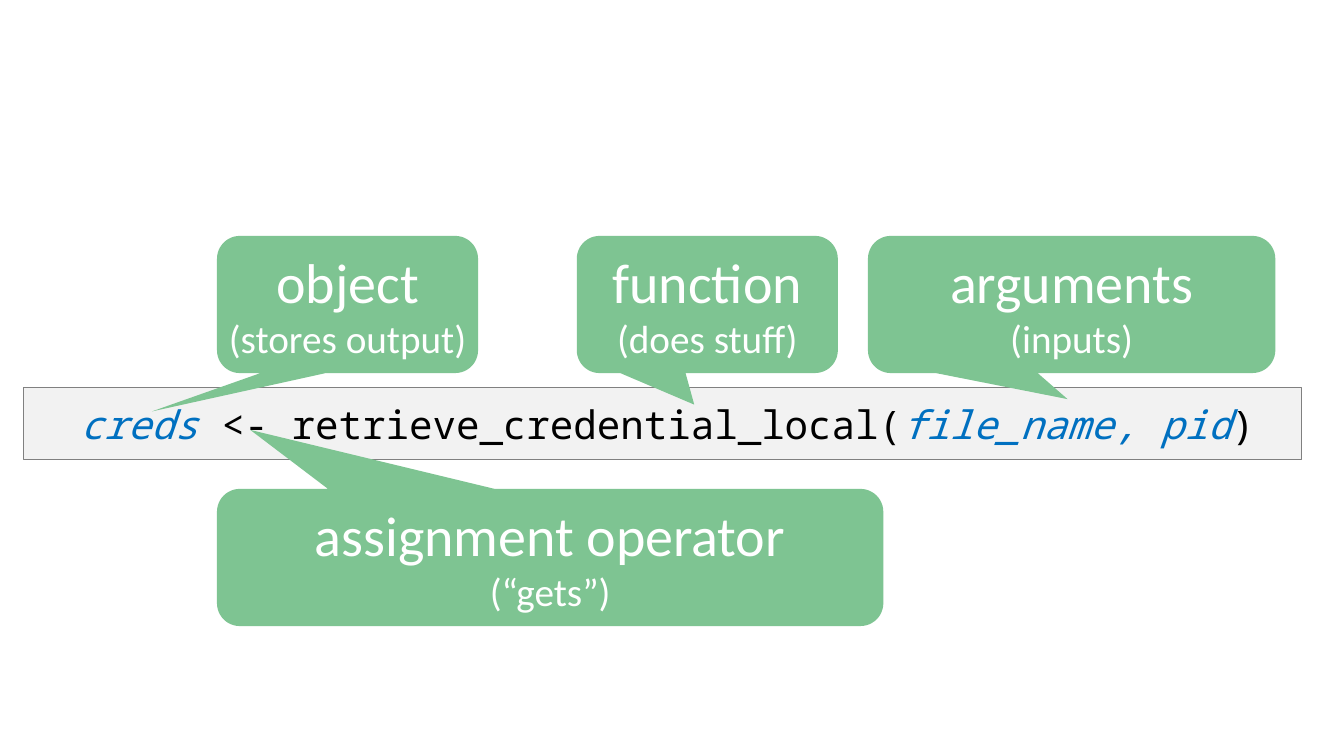
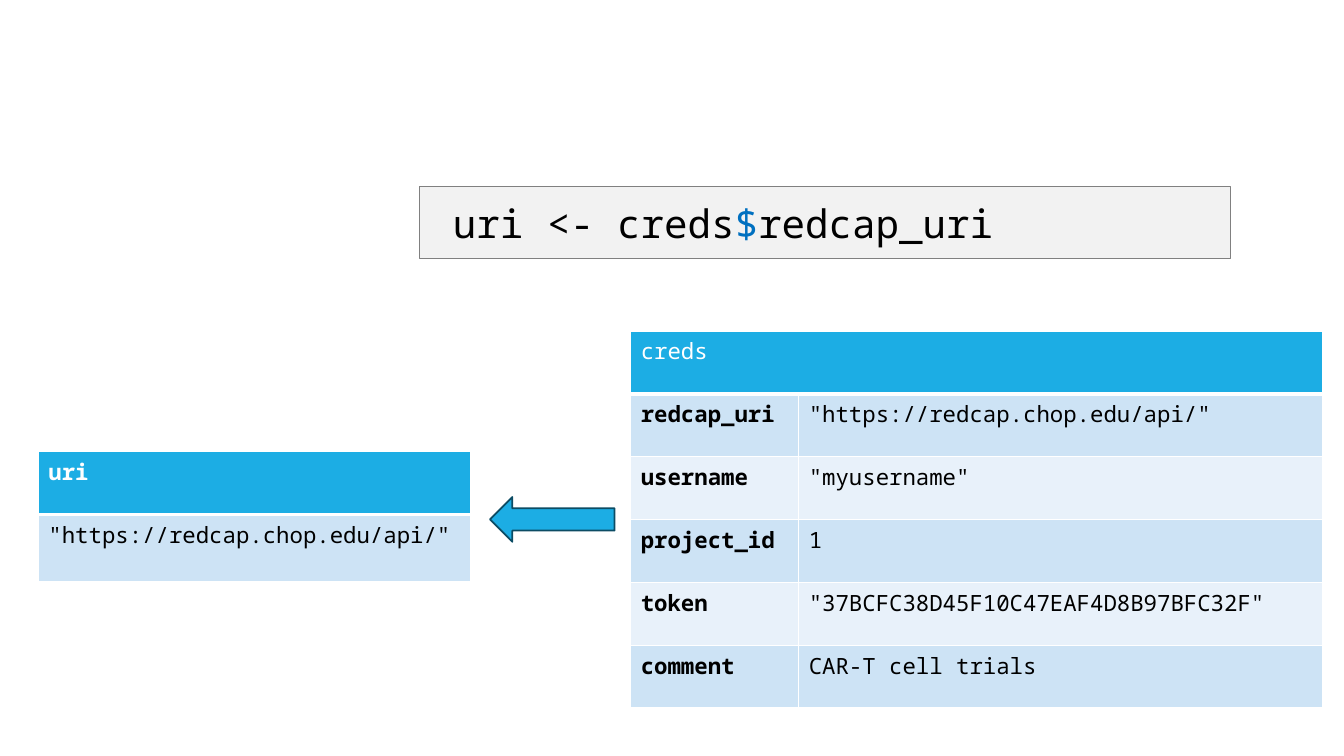
from dataclasses import dataclass

from lxml.etree import SubElement
from pptx import Presentation
from pptx.dml.color import RGBColor
from pptx.enum.shapes import MSO_SHAPE as Form
from pptx.enum.text import MSO_ANCHOR as Anchor, PP_ALIGN as Align
from pptx.oxml.ns import qn
from pptx.util import Pt

MONO, SANS = "Noto Sans Mono", "Calibri"
BLACK, WHITE, BLUE = "000000", "FFFFFF", "0070C0"
GREEN, CYAN, NAVY = "7EC492", "1CADE4", "0C4C64"
PALE, GREY = "F2F2F2", "808080"
BANDS = ("CDE3F5", "E8F1FA")


@dataclass
class Box:
    left: float
    top: float
    width: float
    height: float

    def points(self):
        return Pt(self.left), Pt(self.top), Pt(self.width), Pt(self.height)


@dataclass
class Part:
    """One run of code text."""
    text: str
    color: str = BLACK
    italic: bool = False


@dataclass
class Callout:
    box: Box
    title: str
    note: str
    tip: tuple[float, float]


@dataclass
class Grid:
    left: float
    top: float
    widths: list[float]
    heights: list[float]
    rows: list[list[str]]
    bold_head: bool


TOP, TALL = 168.5, 98
CALLOUTS = [
    Callout(Box(412, TOP, 186.5, TALL), "function", "(does stuff)", (-0.05, 0.73)),
    Callout(Box(620, TOP, 291, TALL), "arguments", "(inputs)", (-0.01, 0.69)),
    Callout(Box(155, 349.2, 476, TALL), "assignment operator", "(“gets”)", (-0.45, -0.93)),
    Callout(Box(155, TOP, 186.5, TALL), "object", "(stores output)", (-0.75, 0.78)),
]

CALL = [
    Part("creds ", BLUE, True),
    Part("<- retrieve_credential_local("),
    Part("file_name, pid", BLUE, True),
    Part(")"),
]
LOOKUP = [Part("uri <- creds"), Part("$", BLUE), Part("redcap_uri")]

URI = '"https://redcap.chop.edu/api/"'
CREDS = Grid(450.5, 236.5, [120, 374], [44.9] * 6, [
    ["creds", ""],
    ["redcap_uri", URI],
    ["username", '"myusername"'],
    ["project_id", "1"],
    ["token", '"37BCFC38D45F10C47EAF4D8B97BFC32F"'],
    ["comment", "CAR-T cell trials"],
], False)
RESULT = Grid(27.4, 322.5, [309], [45, 48], [["uri"], [URI]], True)


def rgb(code: str) -> RGBColor:
    return RGBColor.from_string(code)


def style(run, face: str, size: float, color: str, bold=False, italic=False) -> None:
    font = run.font
    font.name, font.size = face, Pt(size)
    font.bold, font.italic = bold, italic
    font.color.rgb = rgb(color)


def add_form(slide, form, box: Box, fill: str, line: str = "", weight: float = 0):
    shape = slide.shapes.add_shape(form, *box.points())
    shape.shadow.inherit = False
    shape.fill.solid()
    shape.fill.fore_color.rgb = rgb(fill)
    if line:
        shape.line.color.rgb = rgb(line)
        shape.line.width = Pt(weight)
    else:
        shape.line.fill.background()
    return shape


def add_code(slide, box: Box, inset: float, parts: list[Part]) -> None:
    frame = add_form(slide, Form.RECTANGLE, box, PALE, GREY, 0.75).text_frame
    frame.margin_left = Pt(inset)
    frame.vertical_anchor = Anchor.MIDDLE
    para = frame.paragraphs[0]
    para.alignment = Align.LEFT
    for part in parts:
        run = para.add_run()
        run.text = part.text
        style(run, MONO, 28, part.color, italic=part.italic)


def add_callout(slide, item: Callout) -> None:
    shape = add_form(slide, Form.ROUNDED_RECTANGULAR_CALLOUT, item.box, GREEN)
    shape.adjustments[0], shape.adjustments[1] = item.tip
    frame = shape.text_frame
    frame.margin_left = frame.margin_right = 0
    frame.margin_top = frame.margin_bottom = 0
    frame.vertical_anchor = Anchor.MIDDLE
    frame.text = f"{item.title}\n{item.note}"
    for para, size in zip(frame.paragraphs, (40, 28)):
        para.alignment = Align.CENTER
        style(para.runs[0], SANS, size, WHITE)


def add_edges(cell, row: int) -> None:
    """White cell borders, thicker between the header and the body."""
    props = cell._tc.get_or_add_tcPr()
    weights = {"L": 1, "R": 1, "T": 3 if row == 1 else 1, "B": 3 if row == 0 else 1}
    for side, weight in weights.items():
        line = SubElement(props, qn(f"a:ln{side}"), w=str(Pt(weight)))
        SubElement(SubElement(line, qn("a:solidFill")), qn("a:srgbClr"), val=WHITE)


def add_grid(slide, grid: Grid) -> None:
    box = Box(grid.left, grid.top, sum(grid.widths), sum(grid.heights))
    count = len(grid.widths)
    table = slide.shapes.add_table(len(grid.rows), count, *box.points()).table
    table.horz_banding = False
    for col, width in zip(table.columns, grid.widths):
        col.width = Pt(width)
    for row, height in zip(table.rows, grid.heights):
        row.height = Pt(height)
    if count > 1:
        table.cell(0, 0).merge(table.cell(0, count - 1))
    for i, texts in enumerate(grid.rows):
        for j, text in enumerate(texts):
            cell = table.cell(i, j)
            add_edges(cell, i)
            cell.fill.solid()
            cell.fill.fore_color.rgb = rgb(BANDS[(i - 1) % 2] if i else CYAN)
            if text:
                cell.text = text
                bold = count > 1 and j == 0 if i else grid.bold_head
                run = cell.text_frame.paragraphs[0].runs[0]
                style(run, MONO, 16, BLACK if i else WHITE, bold)


def main() -> None:
    deck = Presentation()
    deck.slide_width, deck.slide_height = Pt(960), Pt(540)
    blank = deck.slide_layouts[6]

    slide = deck.slides.add_slide(blank)
    add_code(slide, Box(16.6, 276.5, 913, 51.8), 40.8, CALL)
    for item in CALLOUTS:
        add_callout(slide, item)

    slide = deck.slides.add_slide(blank)
    add_grid(slide, CREDS)
    add_grid(slide, RESULT)
    add_code(slide, Box(299.5, 133.2, 579.6, 51.8), 24, LOOKUP)
    add_form(slide, Form.LEFT_ARROW, Box(350, 355, 89, 32), CYAN, NAVY, 1.25)

    deck.save("out.pptx")


if __name__ == "__main__":
    main()
